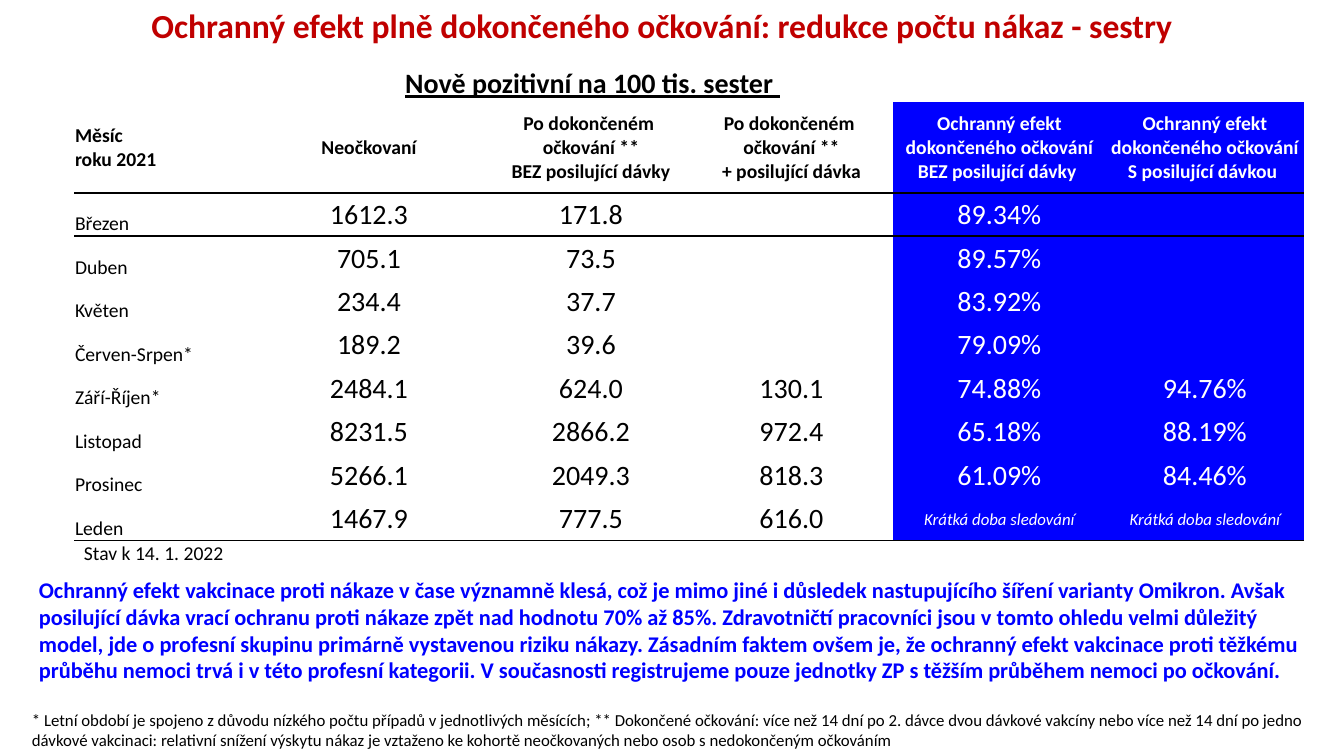
import pptx
import pptx.dml.color
import pptx.enum.text
import pptx.oxml
import pptx.oxml.ns
import pptx.util

EMU_PER_PX = 914400 / 100.8
COLORS = {"title": "C00000", "text": "000000", "accent": "0000FF", "on_accent": "FFFFFF"}
NO_STYLE = "{2D5ABB26-0587-4C30-8999-92F81FD0307C}"
ALIGN = pptx.enum.text.PP_ALIGN
ANCHOR = pptx.enum.text.MSO_ANCHOR
AUTO_SIZE = pptx.enum.text.MSO_AUTO_SIZE

COLUMN_WIDTHS = [172, 246, 198, 203, 213, 198]
EFFECT_COLUMNS = (4, 5)
HEADER = [
    "Měsíc\nroku 2021",
    "Neočkovaní",
    "Po dokončeném \nočkování **\nBEZ posilující dávky",
    "Po dokončeném \nočkování **\n+ posilující dávka",
    "Ochranný efekt dokončeného očkování BEZ posilující dávky ",
    "Ochranný efekt dokončeného očkování S posilující dávkou ",
]
SHORT_FOLLOW_UP = "Krátká doba sledování"
MONTHS = [
    ["Březen", "1612.3", "171.8", "", "89.34%", ""],
    ["Duben", "705.1", "73.5", "", "89.57%", ""],
    ["Květen", "234.4", "37.7", "", "83.92%", ""],
    ["Červen-Srpen*", "189.2", "39.6", "", "79.09%", ""],
    ["Září-Říjen*", "2484.1", "624.0", "130.1", "74.88%", "94.76%"],
    ["Listopad", "8231.5", "2866.2", "972.4", "65.18%", "88.19%"],
    ["Prosinec", "5266.1", "2049.3", "818.3", "61.09%", "84.46%"],
    ["Leden", "1467.9", "777.5", "616.0", SHORT_FOLLOW_UP, SHORT_FOLLOW_UP],
]
CONCLUSION = (
    "Ochranný efekt vakcinace proti nákaze v čase významně klesá, což je mimo jiné i důsledek "
    "nastupujícího šíření varianty Omikron. Avšak posilující dávka vrací ochranu proti nákaze "
    "zpět nad hodnotu 70% až 85%. Zdravotničtí pracovníci jsou v tomto ohledu velmi důležitý "
    "model, jde o profesní skupinu primárně vystavenou riziku nákazy. Zásadním faktem ovšem je, "
    "že ochranný efekt vakcinace proti těžkému průběhu nemoci trvá i v této profesní kategorii. "
    "V současnosti registrujeme pouze jednotky ZP s těžším průběhem nemoci po očkování."
)
FOOTNOTE = (
    "* Letní období je spojeno z důvodu nízkého počtu případů v jednotlivých měsících; "
    "** Dokončené očkování: více než 14 dní po 2. dávce dvou dávkové vakcíny nebo více než "
    "14 dní po jedno dávkové vakcinaci: relativní snížení výskytu nákaz je vztaženo ke kohortě "
    "neočkovaných nebo osob s nedokončeným očkováním"
)


def px(n):
    return pptx.util.Emu(round(n * EMU_PER_PX))


def rgb(name):
    return pptx.dml.color.RGBColor.from_string(COLORS[name])


def write(tf, text, size=14, color="text", bold=False, italic=False, underline=False,
          align=ALIGN.LEFT, line_spacing=None):
    """Write one paragraph per line of text."""
    for i, line in enumerate(text.split("\n")):
        p = tf.paragraphs[0] if i == 0 else tf.add_paragraph()
        p.alignment = align
        p.space_before = pptx.util.Pt(0)
        if line_spacing:
            p.line_spacing = line_spacing
        r = p.add_run()
        r.text = line
        r.font.name = "Calibri"
        r.font.size = pptx.util.Pt(size)
        r.font.color.rgb = rgb(color)
        r.font.bold, r.font.italic, r.font.underline = bold, italic, underline


def add_title(s, text, x, y, w, h):
    sp = s.shapes.title
    sp.left, sp.top, sp.width, sp.height = px(x), px(y), px(w), px(h)
    tf = sp.text_frame
    tf.word_wrap = True
    tf.auto_size = AUTO_SIZE.NONE
    tf.vertical_anchor = ANCHOR.TOP
    write(tf, text, size=24, color="title", bold=True, align=ALIGN.CENTER, line_spacing=0.9)


def add_text(s, text, x, y, w, h, **fmt):
    tf = s.shapes.add_textbox(px(x), px(y), px(w), px(h)).text_frame
    tf.word_wrap = True
    tf.auto_size = AUTO_SIZE.SHAPE_TO_FIT_TEXT
    write(tf, text, **fmt)


def add_border(cell, edge):
    """Draw a one-point line along the edge "T" or "B"."""
    ln = pptx.oxml.parse_xml(
        f'<a:ln{edge} {pptx.oxml.ns.nsdecls("a")} w="12700"><a:solidFill>'
        f'<a:srgbClr val="{COLORS["text"]}"/></a:solidFill></a:ln{edge}>')
    cell._tc.get_or_add_tcPr().insert(0, ln)


def fill_cell(cell, text, column, anchor=ANCHOR.MIDDLE, **fmt):
    cell.margin_left = cell.margin_right = cell.margin_top = px(1)
    cell.margin_bottom = 0
    cell.vertical_anchor = anchor
    effect = column in EFFECT_COLUMNS
    if effect:
        cell.fill.solid()
        cell.fill.fore_color.rgb = rgb("accent")
    else:
        cell.fill.background()
    if text:
        write(cell.text_frame, text, color="on_accent" if effect else "text",
              align=ALIGN.CENTER if column else ALIGN.LEFT, **fmt)


def add_rates_table(s, x, y):
    heights = [43, 91] + [43 + i % 2 for i in range(len(MONTHS))]
    frame = s.shapes.add_table(len(heights), len(COLUMN_WIDTHS), px(x), px(y),
                               px(sum(COLUMN_WIDTHS)), px(sum(heights)))
    frame.element.find(".//" + pptx.oxml.ns.qn("a:tableStyleId")).text = NO_STYLE
    table = frame.table
    table.first_row = table.horz_banding = False
    for column, w in zip(table.columns, COLUMN_WIDTHS):
        column.width = px(w)
    for row, h in zip(table.rows, heights):
        row.height = px(h)
    table.cell(0, 2).merge(table.cell(0, 5))

    for c, text in enumerate(HEADER):
        fill_cell(table.cell(1, c), text, c, bold=True)
    for r, values in enumerate(MONTHS, start=2):
        for c, text in enumerate(values):
            cell = table.cell(r, c)
            if c == 0:
                fill_cell(cell, text, c, anchor=ANCHOR.BOTTOM)
            elif text == SHORT_FOLLOW_UP:
                fill_cell(cell, text, c, size=12, italic=True)
            else:
                fill_cell(cell, text, c, size=20)
    for r, edge in ((1, "B"), (2, "T"), (len(heights) - 1, "B")):
        for c in range(len(COLUMN_WIDTHS)):
            add_border(table.cell(r, c), edge)


def main():
    prs = pptx.Presentation()
    prs.slide_width, prs.slide_height = px(1344), px(756)
    s = prs.slides.add_slide(prs.slide_layouts[5])
    add_title(s, "Ochranný efekt plně dokončeného očkování: redukce počtu nákaz - sestry",
              22, 4, 1280, 146)
    add_text(s, "Nově pozitivní na 100 tis. sester ", 369, 61, 447, 44,
             size=20, bold=True, underline=True, align=ALIGN.CENTER)
    add_text(s, FOOTNOTE, 22, 705, 1309, 50, size=12)
    add_text(s, CONCLUSION, 29, 571, 1297, 119, size=16, color="accent", bold=True)
    add_rates_table(s, 74, 59)
    add_text(s, "Stav k 14. 1. 2022", 74, 536, 223, 34)
    prs.save("out.pptx")


if __name__ == "__main__":
    main()
